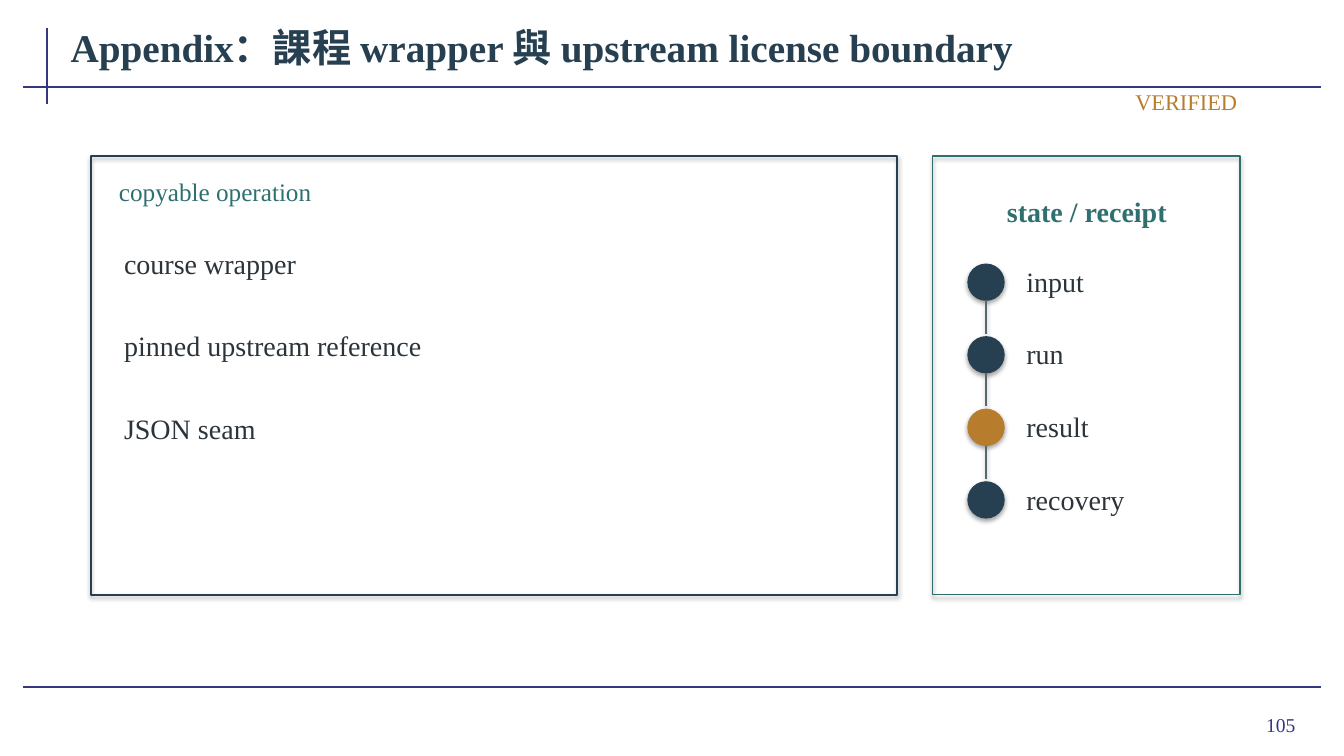
"""Build the appendix slide on the course wrapper and upstream license boundary."""
from lxml import etree
from pptx import Presentation
from pptx import util as u
from pptx.dml.color import RGBColor
from pptx.enum import shapes, text
from pptx.oxml.ns import qn

THEME = {
    "font": "Times New Roman",
    "color": {"rule": "35377F", "navy": "263F51", "teal": "2F6F70",
              "ink": "2A343A", "gold": "B77D2D", "link": "59686F"},
    "size": {"title": 28, "body": 20, "label": 18, "status": 16, "number": 14},
}
LEFT, CENTER, RIGHT = text.PP_ALIGN.LEFT, text.PP_ALIGN.CENTER, text.PP_ALIGN.RIGHT
FIT = text.MSO_AUTO_SIZE.SHAPE_TO_FIT_TEXT
NO_FIT = text.MSO_AUTO_SIZE.NONE


def color(name):
    return RGBColor.from_string(THEME["color"][name])


def write(sp, words, size, tone, align=LEFT, bold=False, fit=FIT):
    tf = sp.text_frame
    frame = {"word_wrap": True, "auto_size": fit,
             "vertical_anchor": text.MSO_ANCHOR.MIDDLE,
             "margin_left": u.Inches(0.08), "margin_right": u.Inches(0.08),
             "margin_top": u.Inches(0.04), "margin_bottom": u.Inches(0.04)}
    for key, value in frame.items():
        setattr(tf, key, value)
    p = tf.paragraphs[0]
    p.alignment = align
    r = p.add_run()
    r.text = words
    font = {"name": THEME["font"], "size": u.Pt(THEME["size"][size]), "bold": bold}
    for key, value in font.items():
        setattr(r.font, key, value)
    r.font.color.rgb = color(tone)


prs = Presentation()
prs.slide_width, prs.slide_height = u.Inches(13.33), u.Inches(7.5)
s = prs.slides.add_slide(prs.slide_layouts[5])

title = s.shapes.title
place = {"left": 0.62, "top": 0.15, "width": 12.49, "height": 0.62}
for key, value in place.items():
    setattr(title, key, u.Inches(value))
write(title, "Appendix：課程 wrapper 與 upstream license boundary", "title", "navy",
      bold=True, fit=NO_FIT)

for ends in [(0.47, 0.28, 0.47, 1.03), (0.23, 0.86, 13.1, 0.86), (0.23, 6.82, 13.1, 6.82)]:
    rule = s.shapes.add_connector(shapes.MSO_CONNECTOR.STRAIGHT, *map(u.Inches, ends))
    rule.line.color.rgb = color("rule")
    rule.line.width = u.Pt(1.5)
    etree.SubElement(rule._element.spPr, qn("a:effectLst"))

for left, width, tone, weight in [(0.9, 8, "navy", 1.4), (9.25, 3.05, "teal", 1.1)]:
    panel = s.shapes.add_shape(shapes.MSO_SHAPE.RECTANGLE, u.Inches(left), u.Inches(1.55),
                               u.Inches(width), u.Inches(4.35))
    panel.fill.background()
    panel.line.color.rgb = color(tone)
    panel.line.width = u.Pt(weight)

labels = [
    ((1.1, 1.72, 7.6, 0.35), "copyable operation", "label", "teal", LEFT, False),
    ((9.48, 1.82, 2.6, 0.55), "state / receipt", "body", "teal", CENTER, True),
    ((9.15, 0.86, 3.2, 0.3), "VERIFIED", "status", "gold", RIGHT, False),
    ((11.96, 6.93, 0.97, 0.52), "105", "number", "rule", RIGHT, False),
]
for i, words in enumerate(["course wrapper", "pinned upstream reference", "JSON seam"]):
    labels.append(((1.15, 2.25 + 0.82 * i, 7.35, 0.72), words, "body", "ink", LEFT, False))

STEP, DOT = 0.72, 0.36
states = [("input", "navy"), ("run", "navy"), ("result", "gold"), ("recovery", "navy")]
for i, (state, tone) in enumerate(states):
    top = 2.62 + STEP * i
    dot = s.shapes.add_shape(shapes.MSO_SHAPE.OVAL, u.Inches(9.6), u.Inches(top),
                             u.Inches(DOT), u.Inches(DOT))
    dot.fill.solid()
    dot.fill.fore_color.rgb = dot.line.color.rgb = color(tone)
    dot.line.width = u.Pt(0.75)
    labels.append(((10.1, top - 0.03, 1.85, 0.4), state, "body", "ink", LEFT, False))
    if i < len(states) - 1:
        link = s.shapes.add_connector(shapes.MSO_CONNECTOR.STRAIGHT,
                                      u.Inches(9.78), u.Inches(top + DOT),
                                      u.Inches(9.78), u.Inches(top + STEP - 0.03))
        link.line.color.rgb = color("link")
        link.line.width = u.Pt(0.9)

for box, words, size, tone, align, bold in labels:
    write(s.shapes.add_textbox(*map(u.Inches, box)), words, size, tone, align, bold)

prs.save("out.pptx")
